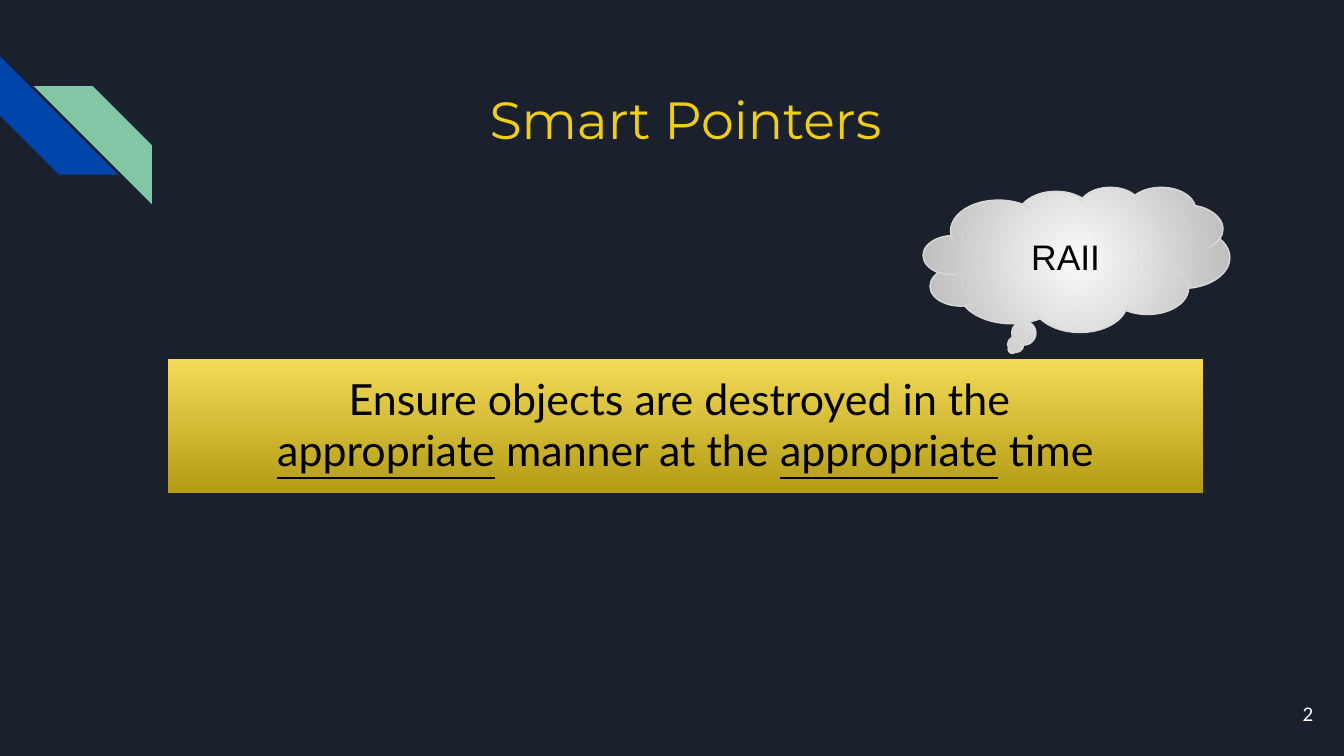
from dataclasses import dataclass

from lxml.etree import SubElement
from pptx import Presentation
from pptx.dml.color import RGBColor
from pptx.enum.shapes import MSO_SHAPE
from pptx.enum.text import MSO_ANCHOR, PP_ALIGN
from pptx.oxml.ns import qn
from pptx.shapes.autoshape import Shape
from pptx.slide import Slide
from pptx.util import Inches, Pt

NIGHT = RGBColor(0x1B, 0x21, 0x2C)
BLUE = RGBColor(0x01, 0x45, 0xAC)
GREEN = RGBColor(0x82, 0xC7, 0xA5)
YELLOW = RGBColor(0xEE, 0xCE, 0x1A)
GOLD = RGBColor(0xF3, 0xDB, 0x58)
BRONZE = RGBColor(0xB3, 0x9B, 0x15)
PALE = RGBColor(0xFA, 0xFA, 0xFA)
GREY = RGBColor(0xB9, 0xB9, 0xB9)
EDGE = RGBColor(0xD9, 0xD9, 0xD9)
BLACK = RGBColor(0, 0, 0)
WHITE = RGBColor(0xFF, 0xFF, 0xFF)


@dataclass(frozen=True)
class Box:
    left: float
    top: float
    width: float
    height: float

    def lengths(self) -> list[Inches]:
        return [Inches(v) for v in (self.left, self.top, self.width, self.height)]


@dataclass(frozen=True)
class Stripe:
    box: Box
    color: RGBColor
    turn: int = 0
    flip: bool = False


@dataclass(frozen=True)
class Run:
    text: str
    line: bool = False


@dataclass(frozen=True)
class Style:
    name: str
    size: int
    color: RGBColor
    align: PP_ALIGN = PP_ALIGN.CENTER
    anchor: MSO_ANCHOR = MSO_ANCHOR.TOP


STRIPES = [
    Stripe(Box(0, 0.42, 0.88, 0.88), BLUE, turn=270),
    Stripe(Box(0.25, 0.64, 0.88, 0.88), GREEN, flip=True),
]
TITLE = Box(1.25, 0.55, 7.7, 0.75)
BANNER = Box(1.25, 2.67, 7.7, 1)
CLOUD = Box(6.87, 1.39, 2.28, 1.08)
NUMBER = Box(9.27, 5.1, 0.6, 0.43)
CLAIM = [
    [Run("Ensure objects are destroyed in the ")],
    [
        Run("appropriate", True),
        Run(" manner at the "),
        Run("appropriate", True),
        Run(" time"),
    ],
]


def add_form(slide: Slide, kind: MSO_SHAPE, box: Box) -> Shape:
    shape = slide.shapes.add_shape(kind, *box.lengths())
    shape.shadow.inherit = False
    shape.line.fill.background()
    return shape


def add_stripe(slide: Slide, stripe: Stripe) -> None:
    shape = add_form(slide, MSO_SHAPE.DIAGONAL_STRIPE, stripe.box)
    shape.adjustments[0] = 0.5
    shape.rotation = stripe.turn
    shape.fill.solid()
    shape.fill.fore_color.rgb = stripe.color
    if stripe.flip:
        shape._element.spPr.xfrm.set("flipH", "1")


def set_blend(shape: Shape, start: RGBColor, end: RGBColor, round: bool = False) -> None:
    shape.fill.gradient()
    shape.fill.gradient_angle = 270
    for stop, color, place in zip(shape.fill.gradient_stops, (start, end), (0, 1)):
        stop.color.rgb = color
        stop.position = place
    if round:
        grad = shape._element.spPr.find(qn("a:gradFill"))
        grad.remove(grad.find(qn("a:lin")))
        circle = SubElement(grad, qn("a:path"), {"path": "circle"})
        sides = {side: "50000" for side in "ltrb"}
        SubElement(circle, qn("a:fillToRect"), sides)


def write(shape: Shape, lines: list[list[Run]], style: Style) -> None:
    frame = shape.text_frame
    pad = Inches(0.1)
    layout = {
        "word_wrap": True,
        "vertical_anchor": style.anchor,
        "margin_left": pad,
        "margin_top": pad,
        "margin_right": pad,
        "margin_bottom": pad,
    }
    for key, value in layout.items():
        setattr(frame, key, value)
    for index, line in enumerate(lines):
        para = frame.add_paragraph() if index else frame.paragraphs[0]
        para.alignment = style.align
        for item in line:
            run = para.add_run()
            run.text = item.text
            run.font.color.rgb = style.color
            look = {
                "name": style.name,
                "size": Pt(style.size),
                "underline": item.line,
            }
            for key, value in look.items():
                setattr(run.font, key, value)


def add_label(slide: Slide, box: Box, text: str, style: Style) -> None:
    write(slide.shapes.add_textbox(*box.lengths()), [[Run(text)]], style)


def add_banner(slide: Slide) -> None:
    shape = add_form(slide, MSO_SHAPE.RECTANGLE, BANNER)
    set_blend(shape, GOLD, BRONZE)
    write(shape, CLAIM, Style("Lato", 23, BLACK))


def add_cloud(slide: Slide) -> None:
    shape = add_form(slide, MSO_SHAPE.CLOUD_CALLOUT, CLOUD)
    shape.adjustments[0] = -0.21
    shape.adjustments[1] = 0.62
    set_blend(shape, PALE, GREY, round=True)
    shape.line.color.rgb = EDGE
    shape.line.width = Pt(0.75)
    style = Style("Arial", 19, BLACK, anchor=MSO_ANCHOR.MIDDLE)
    write(shape, [[Run("RAII")]], style)


def main() -> None:
    deck = Presentation()
    deck.slide_width = Inches(10)
    deck.slide_height = deck.slide_width * 9 // 16
    slide = deck.slides.add_slide(deck.slide_layouts[6])
    slide.background.fill.solid()
    slide.background.fill.fore_color.rgb = NIGHT
    for stripe in STRIPES:
        add_stripe(slide, stripe)
    add_banner(slide)
    add_label(slide, TITLE, "Smart Pointers", Style("Montserrat", 28, YELLOW))
    add_cloud(slide)
    small = Style("Lato", 10, WHITE, PP_ALIGN.RIGHT, MSO_ANCHOR.MIDDLE)
    add_label(slide, NUMBER, "2", small)
    deck.save("out.pptx")


if __name__ == "__main__":
    main()
